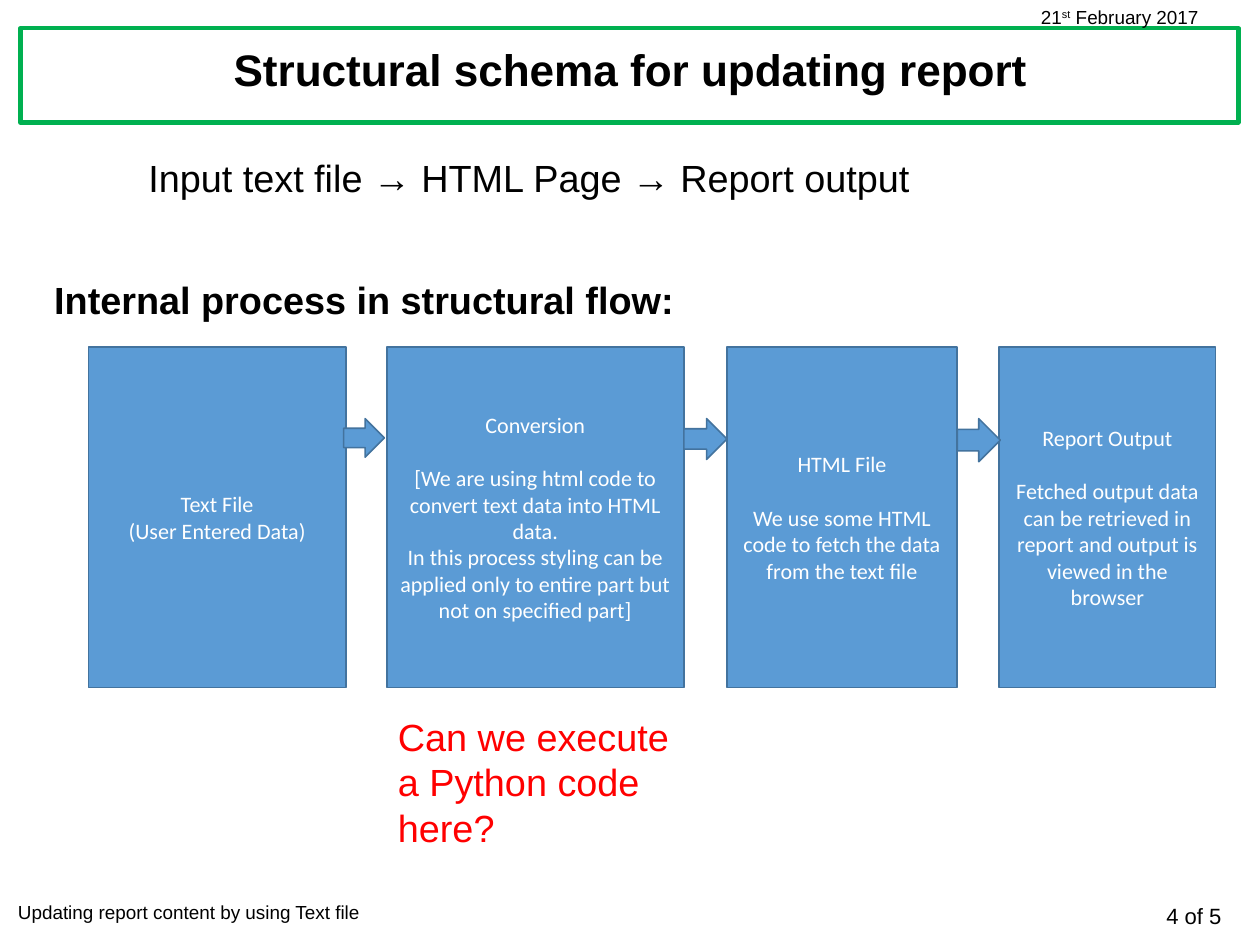
from pptx import Presentation
from pptx.dml.color import RGBColor
from pptx.enum.shapes import MSO_SHAPE as Shape
from pptx.enum.text import MSO_ANCHOR as Anchor, PP_ALIGN as Align
from pptx.util import Pt

PX = 9144  # EMU per px, 100 px to the inch
BLACK = RGBColor(0x00, 0x00, 0x00)
WHITE = RGBColor(0xFF, 0xFF, 0xFF)
RED = RGBColor(0xFF, 0x00, 0x00)
GREEN = RGBColor(0x00, 0xB0, 0x50)
BLUE = RGBColor(0x5B, 0x9B, 0xD5)
DARK_BLUE = RGBColor(0x43, 0x73, 0x9E)


def add_block(kind, bounds, fill, line, weight):
    block = page.shapes.add_shape(kind, *(n * PX for n in bounds))
    block.shadow.inherit = False
    block.fill.solid()
    block.fill.fore_color.rgb = fill
    block.line.color.rgb = line
    block.line.width = Pt(weight)
    return block


def write(box, paragraphs, size, color=BLACK, font="Arial", bold=False,
          anchor=Anchor.TOP, **layout):
    frame = box.text_frame
    frame.word_wrap = True
    frame.vertical_anchor = anchor
    for index, spans in enumerate(paragraphs):
        para = frame.paragraphs[0] if index == 0 else frame.add_paragraph()
        for name, value in layout.items():
            setattr(para, name, value)
        for text in spans:
            span = para.add_run()
            span.text = text
            style = {"size": Pt(size), "name": font, "bold": bold}
            for name, value in style.items():
                setattr(span.font, name, value)
            span.font.color.rgb = color
    return frame


deck = Presentation()
deck.slide_width, deck.slide_height = 1111 * PX, 833 * PX
page = deck.slides.add_slide(deck.slide_layouts[6])

# Title frame
add_block(Shape.RECTANGLE, (18, 25, 1074, 83), WHITE, GREEN, 2.75)

# Title, headings, question and footers
centred = {"anchor": Anchor.MIDDLE, "alignment": Align.CENTER}
labels = [
    ((20, 23, 1071, 82), ["Structural schema for updating report"],
     {"size": 28, "bold": True, "line_spacing": 0.9, **centred}),
    ((121, 131, 900, 48), ["Input text file → HTML Page → Report output"], {"size": 24}),
    ((38, 239, 900, 48), ["Internal process in structural flow:"], {"size": 24, "bold": True}),
    ((341, 624, 262, 131), ["Can we execute a Python code here?"], {"size": 24, "color": RED}),
    ((6, 789, 421, 30), ["Updating report content by using Text file"], {"size": 12}),
    ((940, 791, 147, 34), ["4 of 5"], {"size": 14, "alignment": Align.RIGHT}),
]
for bounds, spans, style in labels:
    label = page.shapes.add_textbox(*(n * PX for n in bounds))
    write(label, [spans], **style)

# Date with raised ordinal
date = page.shapes.add_textbox(908 * PX, 0, 185 * PX, 30 * PX)
frame = write(date, [["21", "st", " February 2017"]], size=12)
ordinal = frame.paragraphs[0].runs[1]
ordinal.font._element.set("baseline", "30000")

# Process steps: left, width, gap in points below the heading, paragraphs
steps = [
    (78, 227, 0, ["Text File", "(User Entered Data)"]),
    (341, 262, 17, [
        "Conversion",
        "[We are using html code to convert text data into HTML data.",
        "In this process styling can be applied only to entire part but not on specified part]"]),
    (641, 203, 17, [
        "HTML File", "We use some HTML code to fetch the data from the text file"]),
    (881, 191, 17, [
        "Report Output",
        "Fetched output data can be retrieved in report and output is viewed in the browser"]),
]
for left, width, gap, lines in steps:
    step = add_block(Shape.RECTANGLE, (left, 306, width, 300), BLUE, DARK_BLUE, 1)
    frame = write(step, [[line] for line in lines], size=14, color=WHITE,
                  font="Calibri", **centred)
    frame.paragraphs[0].space_after = Pt(gap)

# Arrows between steps
for left, width, height in [(303, 36, 34), (603, 38, 36), (844, 38, 38)]:
    add_block(Shape.RIGHT_ARROW, (left, 369, width, height), BLUE, DARK_BLUE, 1)

deck.save("out.pptx")
